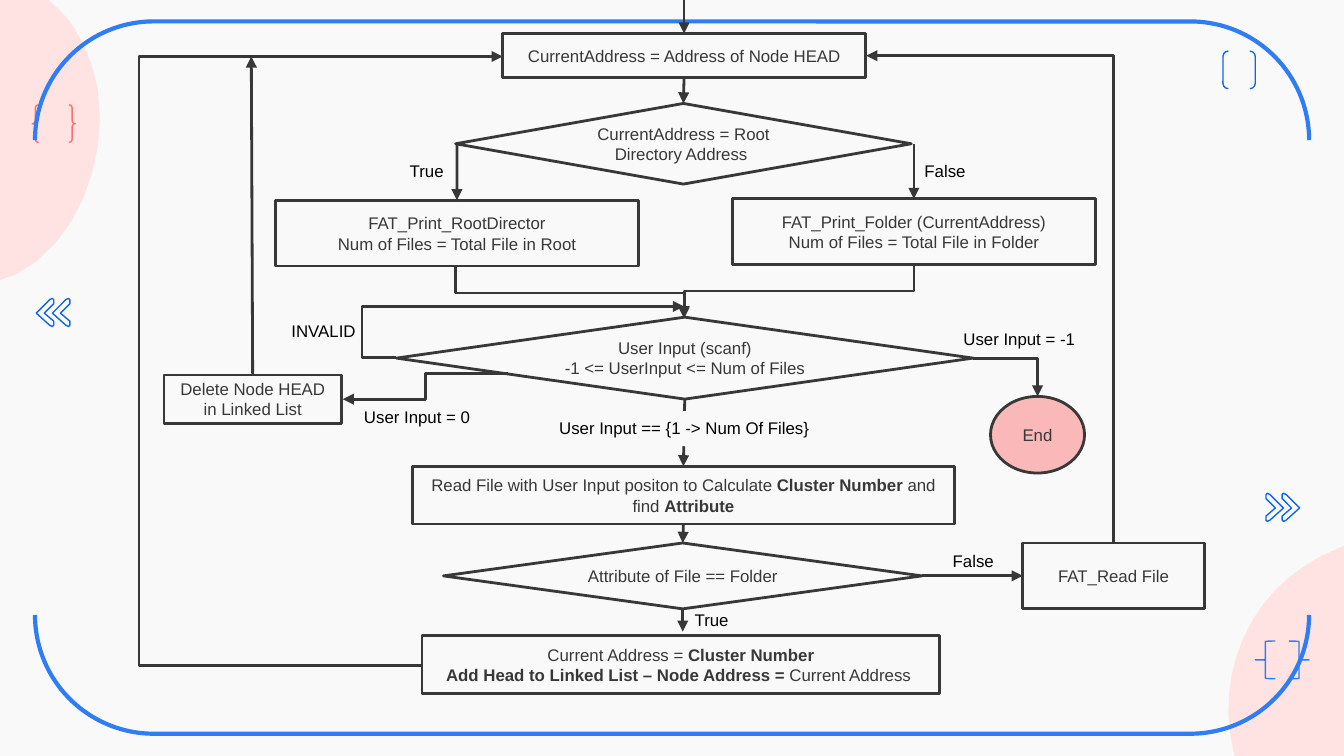
from typing import NamedTuple

from lxml.etree import SubElement
from pptx import Presentation
from pptx.dml.color import RGBColor
from pptx.enum.shapes import MSO_CONNECTOR as Link, MSO_SHAPE as Geo
from pptx.enum.text import MSO_ANCHOR as Anchor, PP_ALIGN as Align
from pptx.oxml.ns import qn
from pptx.util import Inches, Pt

COLORS = {"paper": "F9F9F9", "blob": "FFE3E3", "frame": "2E7DF4", "icon": "0E66EB", "coral": "FF6E6B",
          "node": "383838", "arrow": "373737", "label": "000000", "end": "FF0000"}
FONT = {"name": "Arial", "size": Pt(9)}
TOP, LEFT, BOTTOM, RIGHT = range(4)
Point = tuple[float, float]
Box = tuple[float, float, float, float]

class Decor(NamedTuple):
    geo: Geo
    box: Box
    color: str
    weight: float = 0.75
    rotation: float = 0
    bend: float | None = None

class Node(NamedTuple):
    geo: Geo
    box: Box
    lines: tuple[str, ...]

class Label(NamedTuple):
    text: str
    box: Box

class Arrow(NamedTuple):
    source: tuple[str, int] | Point
    target: tuple[str, int] | Point

class Elbow(NamedTuple):
    box: Box
    rotation: float
    flip: str = ""
    preset: str = "bentConnector3"
    bend: float | None = None

LEFT_BLOB = [
    (-0.8, -0.53), (-0.94, -0.53), (-1.07, -0.49), (-1.16, -0.38), (-1.27, -0.27), (-1.3, -0.11), (-1.29, 0.04),
    (-1.29, 0.19), (-1.24, 0.34), (-1.2, 0.49), (-1.05, 1.07), (-1.26, 1.96), (-0.45, 2.11), (-0.39, 2.12),
    (-0.32, 2.13), (-0.26, 2.13), (0.43, 2.13), (0.82, 1.34), (0.73, 0.69), (0.7, 0.5), (0.63, 0.32), (0.52, 0.16),
    (0.43, 0.06), (0.34, -0.03), (0.22, -0.09), (0.12, -0.15), (-0.01, -0.18), (-0.12, -0.24), (-0.23, -0.3),
    (-0.34, -0.38), (-0.45, -0.44), (-0.56, -0.5), (-0.68, -0.53), (-0.8, -0.53)]
RIGHT_BLOB = [
    (9.29, 4.66), (9.25, 4.72), (9.22, 4.79), (9.2, 4.86), (9.03, 5.33), (9.11, 5.93), (9.52, 6.21), (9.97, 6.52),
    (10.66, 6.23), (11.08, 6.01), (11.32, 5.88), (11.54, 5.73), (11.66, 5.53), (11.77, 5.34), (11.79, 5.11),
    (11.67, 4.84), (11.47, 4.41), (11.04, 4.09), (10.57, 4.04), (10.09, 3.99), (9.6, 4.2), (9.33, 4.6),
    (9.32, 4.62), (9.31, 4.64), (9.29, 4.66)]
RIGHT_BLOB_FORMAT = {"left": Inches(9.07), "top": Inches(4), "width": Inches(2.64), "height": Inches(2.48),
                     "rotation": 300.7}
CHEVRON = [(0.12, 0), (0.1, 0.01), (0, 0.11), (0.1, 0.2), (0.12, 0.21), (0.13, 0.2), (0.13, 0.17), (0.06, 0.11),
           (0.13, 0.04), (0.13, 0.01)]
CHEVRON_TIPS = [(0.27, 2.22, 1), (0.39, 2.22, 1), (9.67, 3.67, -1), (9.55, 3.67, -1)]
DECORS = [
    Decor(Geo.LEFT_BRACE, (9.34, 4.77, 0.15, 0.28), "frame", bend=0.02),
    Decor(Geo.LEFT_BRACE, (9.59, 4.77, 0.15, 0.28), "frame", rotation=180, bend=0.02),
    Decor(Geo.DOUBLE_BRACKET, (9.1, 0.38, 0.24, 0.28), "icon"),
    Decor(Geo.DOUBLE_BRACE, (0.24, 0.78, 0.32, 0.28), "coral"),
    Decor(Geo.DOUBLE_BRACKET, (2.35, -1.93, 5.3, 9.48), "frame", 2.25, 90)]
NODES = {
    "head": Node(Geo.RECTANGLE, (3.74, 0.25, 2.7, 0.33), ("CurrentAddress = Address of Node HEAD",)),
    "is_root": Node(Geo.DIAMOND, (3.39, 0.77, 3.39, 0.6), ("CurrentAddress = Root Directory Address ",)),
    "print_root": Node(Geo.RECTANGLE, (2.05, 1.49, 2.7, 0.49),
                       ("FAT_Print_RootDirector", "Num of Files = Total File in Root")),
    "print_folder": Node(Geo.RECTANGLE, (5.45, 1.48, 2.7, 0.49),
                         ("FAT_Print_Folder (CurrentAddress)", "Num of Files = Total File in Folder")),
    "input": Node(Geo.DIAMOND, (2.95, 2.36, 4.29, 0.61), ("User Input (scanf)", "-1 <= UserInput <= Num of Files")),
    "delete": Node(Geo.RECTANGLE, (1.22, 2.79, 1.32, 0.36), ("Delete Node HEAD in Linked List",)),
    "end": Node(Geo.OVAL, (7.37, 2.95, 0.7, 0.57), ("End",)),
    "locate": Node(Geo.RECTANGLE, (3.07, 3.47, 4.03, 0.43),
                   ("Read File with User Input positon to Calculate *Cluster Number *and find *Attribute",)),
    "is_folder": Node(Geo.DIAMOND, (3.3, 4.04, 3.56, 0.49), ("Attribute of File == Folder",)),
    "read_file": Node(Geo.RECTANGLE, (7.61, 4.04, 1.35, 0.49), ("FAT_Read File",)),
    "add_head": Node(Geo.RECTANGLE, (3.14, 4.73, 3.85, 0.43),
                     ("Current Address = *Cluster Number",
                      "*Add Head to Linked List – Node Address = *Current Address "))}
ARROWS = [
    Arrow((5.09, 0), ("head", TOP)), Arrow(("head", BOTTOM), ("is_root", TOP)),
    Arrow((3.4, 1.07), ("print_root", TOP)), Arrow((6.8, 1.07), ("print_folder", TOP)),
    Arrow(("input", BOTTOM), ("locate", TOP)), Arrow(("locate", BOTTOM), ("is_folder", TOP)),
    Arrow(("is_folder", RIGHT), ("read_file", LEFT)), Arrow(("is_folder", BOTTOM), (5.08, 4.7)),
    Arrow(("delete", TOP), (1.87, 0.42))]
ELBOWS = [
    Elbow((5.75, 1.31, 0.39, 1.71), 90),
    Elbow((4.05, 1.33, 0.38, 1.7), 270, "h", bend=0.5),
    Elbow((3.14, 0.42, 0.6, 4.53), 180, "h", bend=-3.51),
    Elbow((5.55, 1.31, 3.63, 1.84), 270, "v", "bentConnector2"),
    Elbow((2.55, 2.78, 1.23, 0.19), 180, "v", bend=0.5),
    Elbow((7.24, 2.67, 0.48, 0.28), 0, preset="bentConnector2"),
    Elbow((2.95, 2.28, 2.14, 0.38), 180, "h", bend=-0.12)]
LABELS = [
    Label("True", (2.95, 1.15, 1.09, 0.26)), Label("False", (6.78, 1.15, 1.09, 0.26)),
    Label("INVALID", (2.07, 2.34, 0.71, 0.25)), Label("User Input = -1", (7.07, 2.4, 1.7, 0.26)),
    Label("User Input = 0", (2.61, 2.98, 1.31, 0.26)), Label("False", (6.99, 4.05, 1.09, 0.26)),
    Label("True", (5.07, 4.49, 1.09, 0.26))]
RANGE_LABEL = Label("User Input == {1 -> Num Of Files}", (3.94, 3.06, 2.3, 0.26))

def paint(fill, color: str) -> None:
    fill.solid()
    fill.fore_color.rgb = RGBColor.from_string(COLORS[color])

def stroke(shape, color: str, weight: float) -> None:
    paint(shape.line.fill, color)
    shape.line.width = Pt(weight)

def write(frame, lines: tuple[str, ...], color: str, align: Align) -> None:
    frame.word_wrap = True
    for index, line in enumerate(lines):
        paragraph = frame.add_paragraph() if index else frame.paragraphs[0]
        paragraph.alignment = align
        for part, text in enumerate(line.split("*")):
            if text:
                run = paragraph.add_run()
                run.text = text
                for key, value in {**FONT, "bold": part % 2 == 1}.items():
                    setattr(run.font, key, value)
                paint(run.font.fill, color)

def curve(knots: list[Point], steps: int = 10) -> list[Point]:
    points = knots[:1]
    for first in range(0, len(knots) - 1, 3):
        for t in (step / steps for step in range(1, steps + 1)):
            weights = ((1 - t) ** 3, 3 * t * (1 - t) ** 2, 3 * t * t * (1 - t), t ** 3)
            points.append(tuple(sum(w * knot[axis] for w, knot in zip(weights, knots[first:first + 4]))
                                for axis in (0, 1)))
    return points

def add_outline(shapes, points: list[Point], color: str):
    builder = shapes.build_freeform(*map(Inches, points[0]), scale=1.0)
    builder.add_line_segments([tuple(map(Inches, point)) for point in points[1:]])
    outline = builder.convert_to_shape()
    outline.shadow.inherit = False
    paint(outline.fill, color)
    outline.line.fill.background()
    return outline

def add_preset(shapes, decor: Decor):
    shape = shapes.add_shape(decor.geo, *map(Inches, decor.box))
    shape.shadow.inherit = False
    shape.fill.background()
    stroke(shape, decor.color, decor.weight)
    shape.rotation = decor.rotation
    if decor.bend is not None:
        shape.adjustments[0] = decor.bend
    return shape

def add_node(shapes, node: Node):
    shape = add_preset(shapes, Decor(node.geo, node.box, "node", 1.5))
    shape.text_frame.vertical_anchor = Anchor.MIDDLE
    write(shape.text_frame, node.lines, "node", Align.CENTER)
    return shape

def add_link(shapes, kind: Link, start: Point, finish: Point):
    link = shapes.add_connector(kind, *map(Inches, (*start, *finish)))
    stroke(link, "arrow", 1.5)
    SubElement(link.element.spPr.find(qn("a:ln")), qn("a:tailEnd"), type="triangle")
    SubElement(link.element.spPr, qn("a:effectLst"))
    return link

def add_arrow(shapes, arrow: Arrow, nodes: dict) -> None:
    link = add_link(shapes, Link.STRAIGHT, *((0, 0) if end[0] in nodes else end for end in arrow))
    for end, connect in zip(arrow, (link.begin_connect, link.end_connect)):
        if end[0] in nodes:
            connect(nodes[end[0]], end[1])

def add_elbow(shapes, elbow: Elbow) -> None:
    left, top, width, height = elbow.box
    xs = (left + width, left) if elbow.flip == "h" else (left, left + width)
    ys = (top + height, top) if elbow.flip == "v" else (top, top + height)
    link = add_link(shapes, Link.ELBOW, *zip(xs, ys))
    link.rotation = elbow.rotation
    geometry = link.element.spPr.find(qn("a:prstGeom"))
    geometry.set("prst", elbow.preset)
    if elbow.bend is not None:
        SubElement(geometry.find(qn("a:avLst")), qn("a:gd"), name="adj1", fmla=f"val {round(elbow.bend * 100000)}")

def add_label(shapes, label: Label, align: Align = Align.LEFT):
    box = shapes.add_textbox(*map(Inches, label.box))
    write(box.text_frame, (label.text,), "label", align)
    return box

def main() -> None:
    deck = Presentation()
    deck.slide_width, deck.slide_height = Inches(10), Inches(10 * 9 / 16)
    slide = deck.slides.add_slide(deck.slide_layouts[6])
    shapes = slide.shapes
    paint(slide.background.fill, "paper")
    add_outline(shapes, curve(LEFT_BLOB), "blob")
    right_blob = add_outline(shapes, curve(RIGHT_BLOB), "blob")
    for key, value in RIGHT_BLOB_FORMAT.items():
        setattr(right_blob, key, value)
    for x, y, side in CHEVRON_TIPS:
        stroke(add_outline(shapes, [(x + side * dx, y + dy) for dx, dy in CHEVRON], "paper"), "icon", 0.75)
    for decor in DECORS:
        add_preset(shapes, decor)
    nodes = {key: add_node(shapes, node) for key, node in NODES.items()}
    paint(nodes["end"].fill, "end")
    SubElement(nodes["end"].element.spPr.find(qn("a:solidFill"))[0], qn("a:alpha"), val="26000")
    for arrow in ARROWS:
        add_arrow(shapes, arrow, nodes)
    for elbow in ELBOWS:
        add_elbow(shapes, elbow)
    for label in LABELS:
        add_label(shapes, label)
    paint(add_label(shapes, RANGE_LABEL, Align.CENTER).fill, "paper")
    deck.save("out.pptx")

if __name__ == "__main__":
    main()
